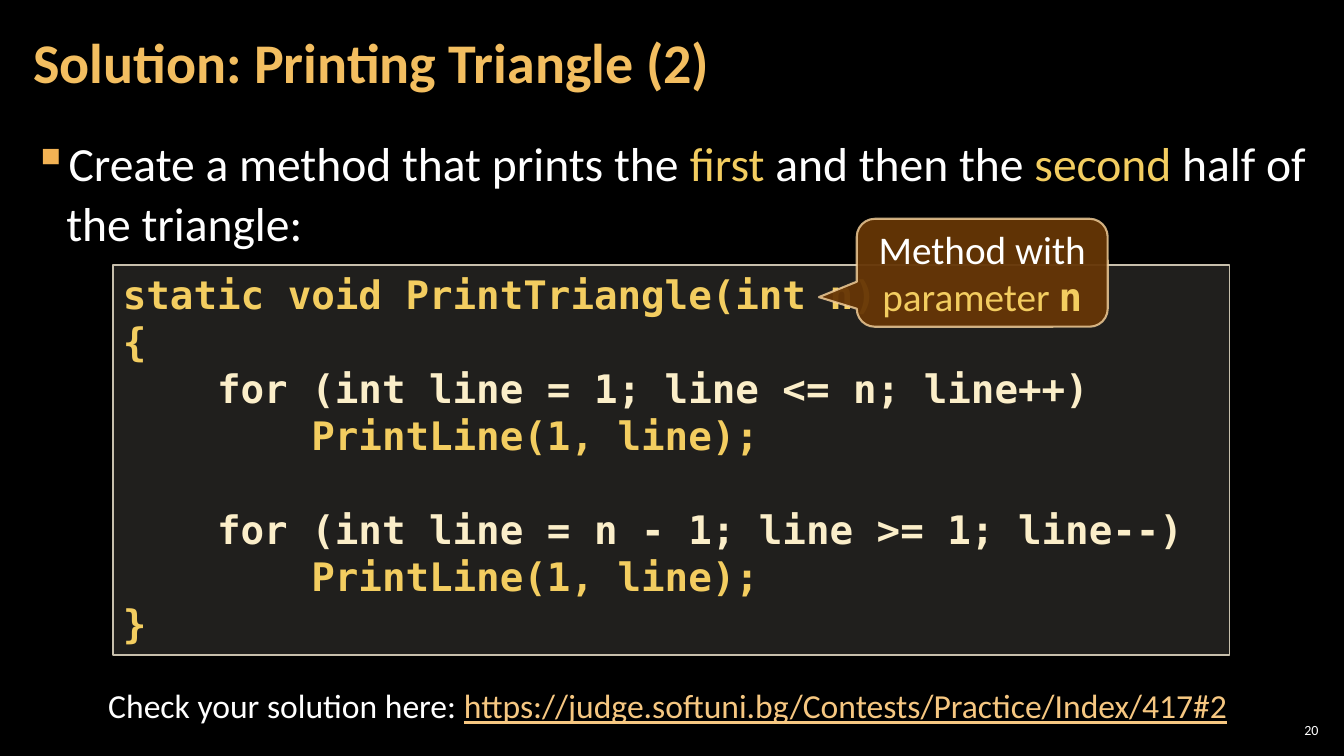
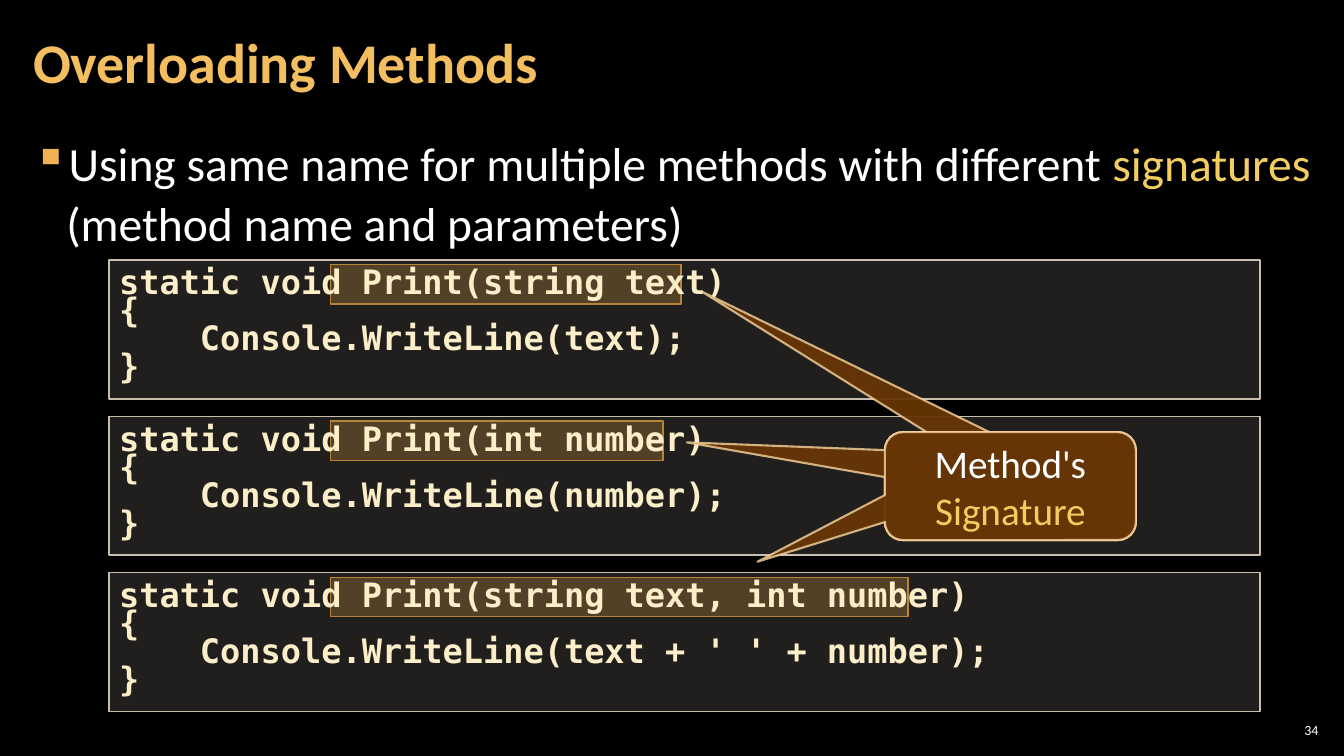
from lxml.etree import SubElement
from pptx import Presentation
from pptx.dml.color import RGBColor
from pptx.enum.shapes import MSO_SHAPE as Shape
from pptx.enum.text import MSO_ANCHOR as Anchor, MSO_AUTO_SIZE as AutoSize, PP_ALIGN as Align
from pptx.oxml.ns import qn
from pptx.util import Inches, Pt

COLUMNS, ROWS = 64, 36
CELL = 190500  # one square grid cell in EMU

WHITE, GOLD, CREAM = "FFFFFF", "F3CD60", "FBEEC9"
BULLET = "F2B254"
SANS, MONO = "Calibri", "DejaVu Sans Mono"

TITLE = {"name": SANS, "size": Pt(40), "bold": True, "color": "F3BE60"}
BODY = {"name": SANS, "size": Pt(34), "color": WHITE}
NOTE = {"name": SANS, "size": Pt(28), "color": WHITE}
CHECK = {"name": SANS, "size": Pt(24), "color": WHITE}
NUMBER = {"name": SANS, "size": Pt(10), "color": WHITE}
CODE = {"name": MONO, "size": Pt(28), "bold": True, "color": CREAM}
SMALL_CODE = {**CODE, "size": Pt(24)}
KEY = {"color": GOLD}

# Fill, its opacity, line, its opacity, line width
PANEL = ("D9D5C7", 15, "C7BFAC", 100, 1)
HIGHLIGHT = ("F0A22E", 25, "B27822", 100, 1)
BUBBLE = ("663606", 95, "F8D49E", 80, 1.5)
BUBBLE_SIZE = (11.95, 5.14)

tone = RGBColor.from_string


def draw(page, kind, cells, look, adjustments=()):
    """Add a preset shape at (left, top, width, height) in grid cells."""
    shape = page.shapes.add_shape(kind, *[round(n * CELL) for n in cells])
    fill, fill_opacity, line, line_opacity, width = look
    shape.shadow.inherit = False
    shape.line.width = Pt(width)
    for paint, color in ((shape.fill, fill), (shape.line.fill, line)):
        paint.solid()
        paint.fore_color.rgb = tone(color)
    colors = shape.element.spPr.iter(qn("a:srgbClr"))
    for color, opacity in zip(colors, (fill_opacity, line_opacity)):
        SubElement(color, qn("a:alpha"), val=str(opacity * 1000))
    for index, value in enumerate(adjustments):
        shape.adjustments[index] = value
    return shape


def write(box, paragraphs, base, anchor=Anchor.TOP, align=Align.LEFT,
          spacing=None, insets=(0.1, 0.05), bullet=False):
    """Fill a box; each paragraph is a list of (text, changes to base)."""
    frame = box.text_frame
    side, edge = map(Inches, insets)
    settings = {"word_wrap": True, "auto_size": AutoSize.NONE, "vertical_anchor": anchor,
                "margin_left": side, "margin_right": side,
                "margin_top": edge, "margin_bottom": edge}
    for name, value in settings.items():
        setattr(frame, name, value)
    for index, spans in enumerate(paragraphs):
        para = frame.add_paragraph() if index else frame.paragraphs[0]
        if bullet:
            layout = para._p.get_or_add_pPr()
            layout.set("marL", str(Inches(0.33)))
            layout.set("indent", str(-Inches(0.33)))
            SubElement(SubElement(layout, qn("a:buClr")), qn("a:srgbClr"), val=BULLET)
            SubElement(layout, qn("a:buChar"), char="▪")
        para.alignment = align
        para.line_spacing = spacing
        for text, changes in spans:
            span = para.add_run()
            span.text = text
            for name, value in {**base, **changes}.items():
                if name == "color":
                    span.font.color.rgb = tone(value)
                else:
                    setattr(span.font, name, value)


deck = Presentation()
deck.slide_width, deck.slide_height = COLUMNS * CELL, ROWS * CELL
backdrop = deck.slide_master.background.fill
backdrop.solid()
backdrop.fore_color.rgb = tone("000000")
title_only = deck.slide_layouts[5]

# Title, bullet and page number of every slide
outlines = [
    ("Solution: Printing Triangle (2)", "20",
     [("Create a method that prints the ", {}), ("first", KEY), (" and then the ", {}),
      ("second", KEY), (" half of the triangle:", {})]),
    ("Overloading Methods", "34",
     [("Using same name for multiple methods with different ", {}), ("signatures", KEY),
      (" (method name and parameters)", {})]),
]
for title, number, bullet in outlines:
    page = deck.slides.add_slide(title_only)
    heading = page.shapes.title
    heading.left, heading.top = CELL, round(0.2 * CELL)
    heading.width, heading.height = round(50.25 * CELL), round(5.8 * CELL)
    write(heading, [[(title, {})]], TITLE, Anchor.MIDDLE, spacing=0.9, insets=(0.12, 0.04))
    body = page.shapes.add_textbox(CELL, round(6.05 * CELL), 62 * CELL, round(29.23 * CELL))
    write(body, [bullet], BODY, spacing=1.05, insets=(0.12, 0.04), bullet=True)
    corner = page.shapes.add_textbox(
        round(60.72 * CELL), round(34.27 * CELL), round(2.26 * CELL), CELL)
    write(corner, [[(number, {})]], NUMBER, Anchor.MIDDLE, Align.RIGHT, insets=(0.04, 0.04))

triangle, overloading = deck.slides

# Printing a triangle
listing = draw(triangle, Shape.RECTANGLE, (5.38, 12.62, 53.18, 18.58), PANEL)
write(listing, [
    [("static void PrintTriangle(int n)", KEY)],
    [("{", KEY)],
    [("    for (int line = 1; line <= n; line++)", {})],
    [("        PrintLine(1, line);", KEY)],
    [(" ", {})],
    [("    for (int line = n - 1; line >= 1; line--)", {})],
    [("        PrintLine(1, line);", KEY)],
    [("}", KEY)],
], CODE)
bubble = draw(triangle, Shape.ROUNDED_RECTANGULAR_CALLOUT, (40.8, 10.42, *BUBBLE_SIZE),
              BUBBLE, (-0.651, 0.226, 0.167))
write(bubble, [[("Method with ", {}), ("parameter ", KEY),
                ("n", {**KEY, "name": MONO, "bold": True})]],
      NOTE, Anchor.MIDDLE, Align.CENTER)
check = triangle.shapes.add_textbox(
    4 * CELL, round(32.4 * CELL), round(55.6 * CELL), round(2.4 * CELL))
write(check, [[("Check your solution here: ", {}),
               ("https://judge.softuni.bg/Contests/Practice/Index/417#2",
                {"color": "F6C781", "underline": True})]],
      CHECK, align=Align.CENTER)

# Overloads: parameters, printed expression, width of the highlight
overloads = [
    ("string text", "text", 16.7),
    ("int number", "number", 15.84),
    ("string text, int number", "text + ' ' + number", 27.5),
]
for index, (parameters, printed, width) in enumerate(overloads):
    top = 12.38 + 7.44 * index
    draw(overloading, Shape.RECTANGLE, (15.74, top + 0.23, width, 1.87), HIGHLIGHT)
    panel = draw(overloading, Shape.RECTANGLE, (5.2, top, 54.8, 6.62), PANEL)
    lines = [f"static void Print({parameters})", "{",
             f"    Console.WriteLine({printed});", "}"]
    write(panel, [[(line, {})] for line in lines], SMALL_CODE, Anchor.MIDDLE, spacing=Pt(20))

# One bubble with three pointers; the front one carries the text
for pointer in ((-1.23, -1.803), (-1.289, -0.405), (-1.008, 0.701)):
    bubble = draw(overloading, Shape.ROUNDED_RECTANGULAR_CALLOUT,
                  (42.14, 20.58, *BUBBLE_SIZE), BUBBLE, (*pointer, 0.167))
write(bubble, [[("Method's ", {}), ("Signature", KEY)]], NOTE, Anchor.MIDDLE, Align.CENTER)

deck.save("out.pptx")
